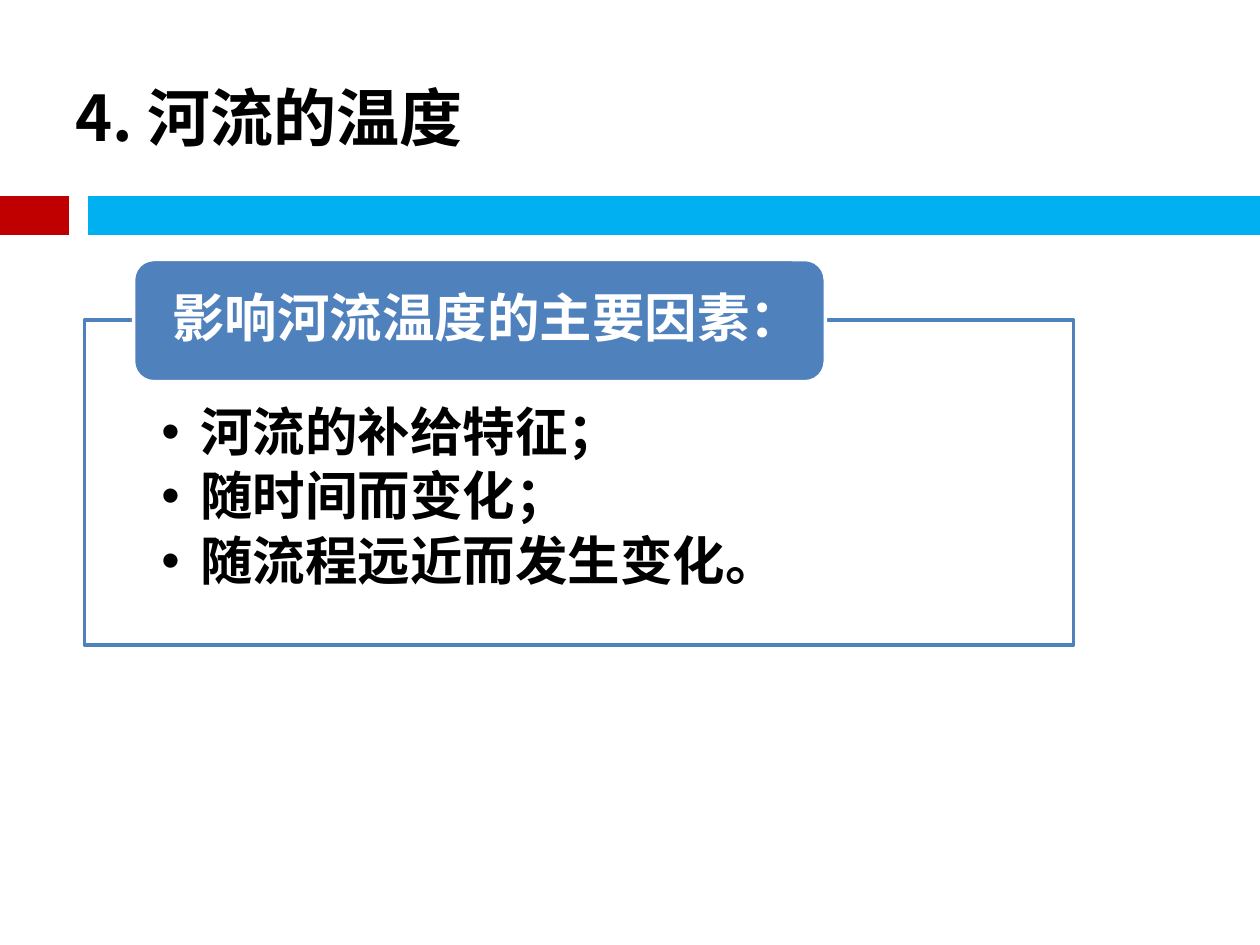
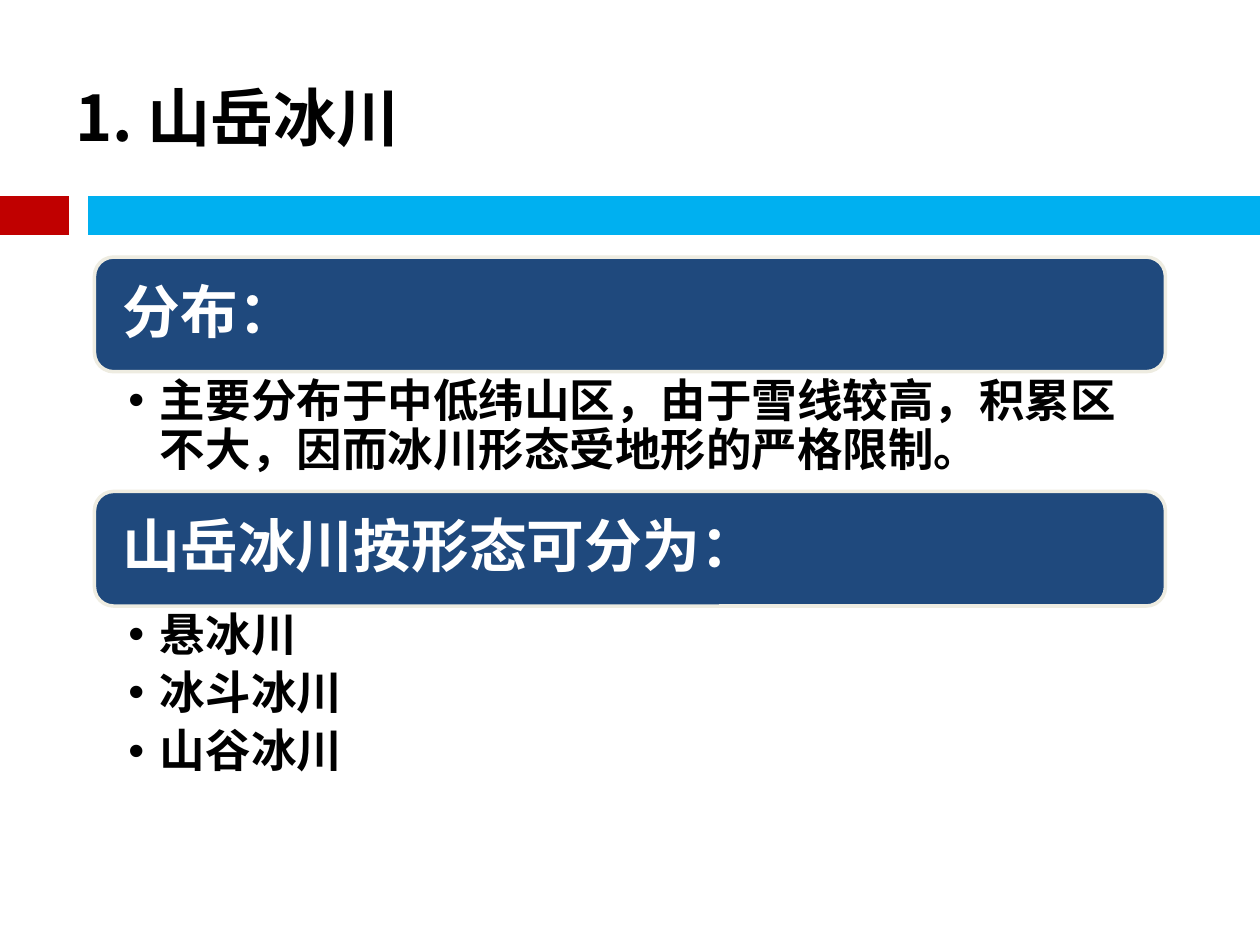
from lxml.etree import SubElement
from pptx import Presentation
from pptx.dml.color import RGBColor
from pptx.enum.shapes import MSO_CONNECTOR, MSO_SHAPE
from pptx.enum.text import MSO_ANCHOR, PP_ALIGN
from pptx.oxml.ns import qn
from pptx.util import Inches, Pt

COLORS = {
    "text": "000000",
    "white": "FFFFFF",
    "red": "C00000",
    "sky": "00B0F0",
    "blue": "4F81BD",
    "navy": "1F497D",
    "cream": "EEECE1",
}
TITLE_FONT = "Noto Sans CJK SC"
BODY_FONT = "Calibri"


def write(shape, lines, size, color="text", font=BODY_FONT, insets=(0.1, 0.05, 0.1, 0.05),
          anchor=MSO_ANCHOR.MIDDLE, spacing=0.9, after=0, indent=0):
    """Fill a shape with bold paragraphs; a non-zero indent makes them bullets."""
    frame = shape.text_frame
    frame.word_wrap = True
    frame.vertical_anchor = anchor
    frame.margin_left, frame.margin_top, frame.margin_right, frame.margin_bottom = map(Inches, insets)
    for number, line in enumerate(lines):
        paragraph = frame.paragraphs[0] if number == 0 else frame.add_paragraph()
        paragraph.text = line
        paragraph.alignment = PP_ALIGN.LEFT
        paragraph.line_spacing = spacing
        paragraph.space_after = Pt(after)
        if indent:
            properties = paragraph._p.get_or_add_pPr()
            properties.set("marL", str(Inches(indent)))
            properties.set("indent", str(-Inches(indent)))
            SubElement(properties, qn("a:buFont"), typeface="Arial")
            SubElement(properties, qn("a:buChar"), char="•")
        paragraph.font.size = Pt(size)
        paragraph.font.bold = True
        paragraph.font.color.rgb = RGBColor.from_string(COLORS[color])
        paragraph.font.name = font
        SubElement(paragraph.font._element, qn("a:ea"), typeface=font)


def add_panel(slide, kind, box, fill, line):
    shape = slide.shapes.add_shape(kind, *map(Inches, box))
    shape.shadow.inherit = False
    shape.fill.solid()
    shape.fill.fore_color.rgb = RGBColor.from_string(COLORS[fill])
    shape.line.color.rgb = RGBColor.from_string(COLORS[line])
    shape.line.width = Pt(2)
    return shape


presentation = Presentation()
presentation.slide_width = Inches(10)
presentation.slide_height = Inches(7.5)

# Title and two-colour band on every slide
slides = []
for title in ("4. 河流的温度", "1. 山岳冰川"):
    slide = presentation.slides.add_slide(presentation.slide_layouts[6])
    for start, end, color in ((0, 0.55, "red"), (0.7, 10, "sky")):
        band = slide.shapes.add_connector(
            MSO_CONNECTOR.STRAIGHT, Inches(start), Inches(1.71), Inches(end), Inches(1.71))
        band.line.color.rgb = RGBColor.from_string(COLORS[color])
        band.line.width = Pt(22)
        SubElement(band._element.spPr, qn("a:effectLst"))
    title_box = slide.shapes.add_textbox(Inches(0.5), Inches(0.3), Inches(9), Inches(1.25))
    write(title_box, [title], 36, font=TITLE_FONT, spacing=1.0)
    slides.append(slide)
river_slide, glacier_slide = slides

# River temperature: framed list with a heading on its top edge
factor_frame = add_panel(river_slide, MSO_SHAPE.RECTANGLE, (0.67, 2.54, 7.85, 2.58), "white", "blue")
write(factor_frame, ["河流的补给特征；", "随时间而变化；", "随流程远近而发生变化。"], 30,
      insets=(0.61, 0.68, 0.61, 0.23), anchor=MSO_ANCHOR.TOP, after=4.5, indent=0.31)
factor_heading = add_panel(river_slide, MSO_SHAPE.ROUNDED_RECTANGLE, (1.06, 2.06, 5.49, 0.97), "blue", "white")
write(factor_heading, ["影响河流温度的主要因素："], 30, "white", insets=(0.26, 0, 0.26, 0))

# Mountain glaciers: headings stacked with their lists
LEFT, WIDTH, HEADING_HEIGHT = 0.75, 8.5, 0.91
sections = [
    ("分布：", 0.95, ["主要分布于中低纬山区，由于雪线较高，积累区不大，因而冰川形态受地形的严格限制。"]),
    ("山岳冰川按形态可分为：", 1.57, ["悬冰川", "冰斗冰川", "山谷冰川"]),
]
top = 2.04
for heading, list_height, items in sections:
    heading_bar = add_panel(glacier_slide, MSO_SHAPE.ROUNDED_RECTANGLE,
                            (LEFT, top, WIDTH, HEADING_HEIGHT), "navy", "cream")
    write(heading_bar, [heading], 33, "white", insets=(0.18, 0.18, 0.18, 0.18))
    top += HEADING_HEIGHT
    item_box = glacier_slide.shapes.add_textbox(Inches(LEFT), Inches(top), Inches(WIDTH), Inches(list_height))
    write(item_box, items, 26, insets=(0.27, 0.05, 0.26, 0.05), anchor=MSO_ANCHOR.TOP, after=5.2, indent=0.25)
    top += list_height

presentation.save("out.pptx")
